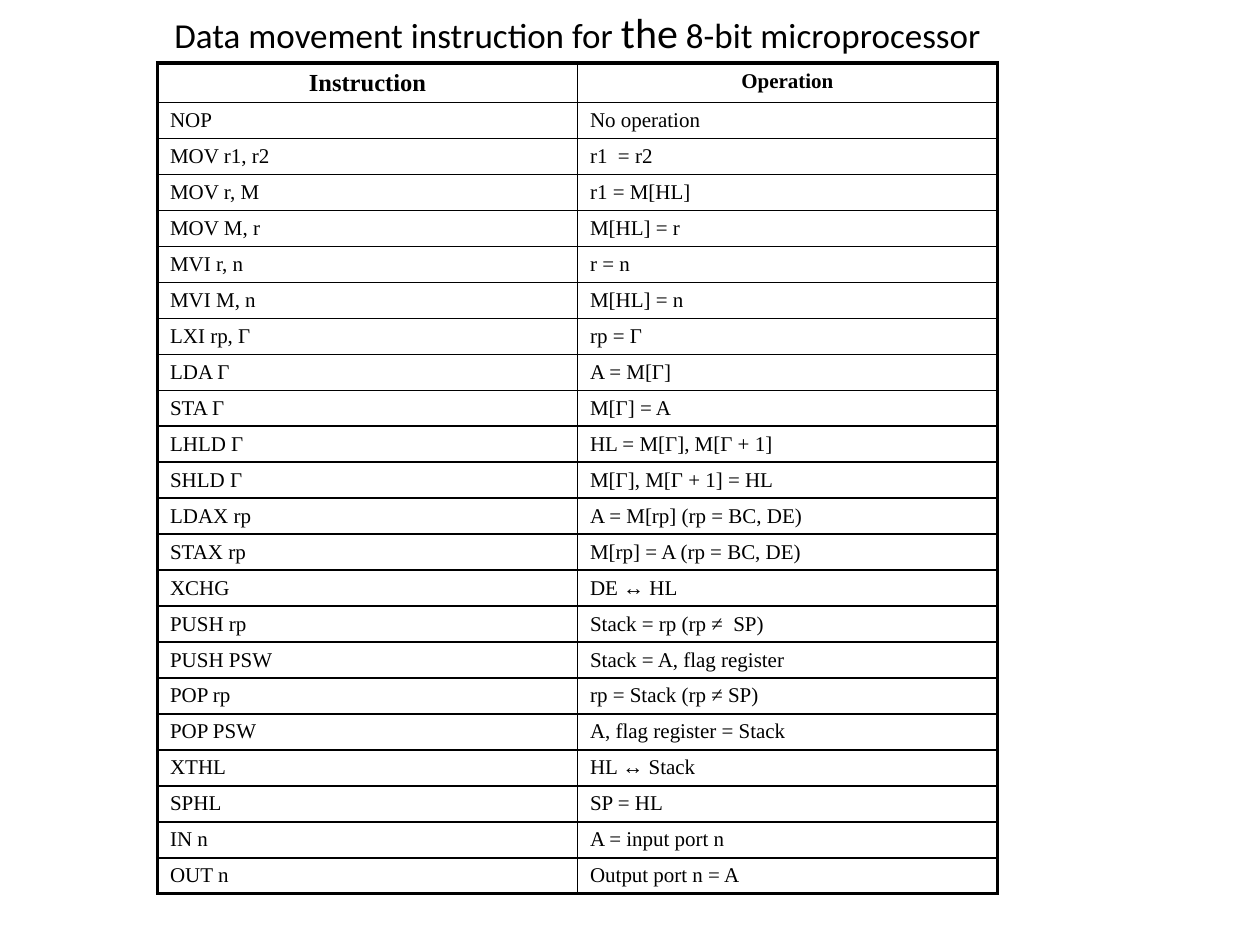
from lxml import etree
from pptx import Presentation
from pptx.dml.color import RGBColor
from pptx.enum.text import MSO_ANCHOR, PP_ALIGN
from pptx.oxml.ns import qn
from pptx.util import Pt

TOP = MSO_ANCHOR.TOP
CENTER, LEFT = PP_ALIGN.CENTER, PP_ALIGN.LEFT
COLORS = {"text": "000000", "border": "000000"}
TITLE_FONT, TABLE_FONT = "Calibri", "Times New Roman"
THIN, THICK = 1, 2.25
HEADER_H, ROW_H = 22.6, 20.57

TITLE_RUNS = [
    ("Data movement instruction for ", 20),
    ("the", 24),
    (" 8-bit microprocessor", 20),
]
HEADER = ("Instruction", "Operation")
HEADER_SIZES = (14, 12)
INSTRUCTIONS = [
    ("NOP", "No operation"),
    ("MOV r1, r2", "r1  = r2"),
    ("MOV r, M", "r1 = M[HL]"),
    ("MOV M, r", "M[HL] = r"),
    ("MVI r, n", "r = n"),
    ("MVI M, n", "M[HL] = n"),
    ("LXI rp, Γ", "rp = Γ"),
    ("LDA Γ", "A = M[Γ]"),
    ("STA Γ", "M[Γ] = A"),
    ("LHLD Γ", "HL = M[Γ], M[Γ + 1]"),
    ("SHLD Γ", "M[Γ], M[Γ + 1] = HL"),
    ("LDAX rp", "A = M[rp] (rp = BC, DE)"),
    ("STAX rp", "M[rp] = A (rp = BC, DE)"),
    ("XCHG", "DE ↔ HL"),
    ("PUSH rp", "Stack = rp (rp ≠  SP)"),
    ("PUSH PSW", "Stack = A, flag register"),
    ("POP rp", "rp = Stack (rp ≠ SP)"),
    ("POP PSW", "A, flag register = Stack"),
    ("XTHL", "HL ↔ Stack"),
    ("SPHL", "SP = HL"),
    ("IN n", "A = input port n"),
    ("OUT n", "Output port n = A"),
]


def add_run(p, text, font, size, bold=False):
    """Append one formatted run to a paragraph."""
    r = p.add_run()
    r.text = text
    r.font.name = font
    r.font.size = Pt(size)
    r.font.bold = bold
    r.font.color.rgb = RGBColor.from_string(COLORS["text"])


def set_borders(cell, widths):
    """Draw solid cell borders from a dict of side tag to width in points."""
    tc_pr = cell._tc.get_or_add_tcPr()
    for i, (side, width) in enumerate(widths.items()):
        ln = etree.Element(qn(f"a:{side}"), w=str(Pt(width)))
        fill = etree.SubElement(ln, qn("a:solidFill"))
        etree.SubElement(fill, qn("a:srgbClr"), val=COLORS["border"])
        tc_pr.insert(i, ln)


def add_title(s, x, y, w, h):
    """Place the mixed-size title in the title placeholder."""
    sp = s.shapes.title
    sp.left, sp.top, sp.width, sp.height = Pt(x), Pt(y), Pt(w), Pt(h)
    tf = sp.text_frame
    tf.word_wrap = True
    tf.vertical_anchor = TOP
    tf.margin_top, tf.margin_bottom = Pt(3.6), Pt(0)
    p = tf.paragraphs[0]
    p.alignment = CENTER
    for text, size in TITLE_RUNS:
        add_run(p, text, TITLE_FONT, size)


def add_instruction_table(s, x, y, w):
    """Place the instruction table with a thick outline and thin grid."""
    rows = [HEADER] + INSTRUCTIONS
    last_row, last_col = len(rows) - 1, len(HEADER) - 1
    h = HEADER_H + ROW_H * last_row
    table = s.shapes.add_table(
        len(rows), len(HEADER), Pt(x), Pt(y), Pt(w), Pt(h)).table
    table.first_row = table.horz_banding = False
    for i, texts in enumerate(rows):
        is_header = i == 0
        table.rows[i].height = Pt(HEADER_H if is_header else ROW_H)
        for j, text in enumerate(texts):
            cell = table.cell(i, j)
            cell.fill.background()
            cell.vertical_anchor = TOP
            cell.margin_left = cell.margin_right = Pt(7.2)
            cell.margin_top, cell.margin_bottom = Pt(3.6), Pt(2.5)
            p = cell.text_frame.paragraphs[0]
            p.alignment = CENTER if is_header else LEFT
            size = HEADER_SIZES[j] if is_header else 12
            add_run(p, text, TABLE_FONT, size, is_header)
            set_borders(cell, {
                "lnL": THICK if j == 0 else THIN,
                "lnR": THICK if j == last_col else THIN,
                "lnT": THICK if is_header else THIN,
                "lnB": THICK if i == last_row else THIN,
            })


def main():
    """Build and save the slide."""
    prs = Presentation()
    prs.slide_width, prs.slide_height = Pt(720), Pt(540)
    s = prs.slides.add_slide(prs.slide_layouts[5])
    add_title(s, 24, 0, 612, 36)
    add_instruction_table(s, 90, 36, 480)
    prs.save("out.pptx")


if __name__ == "__main__":
    main()
